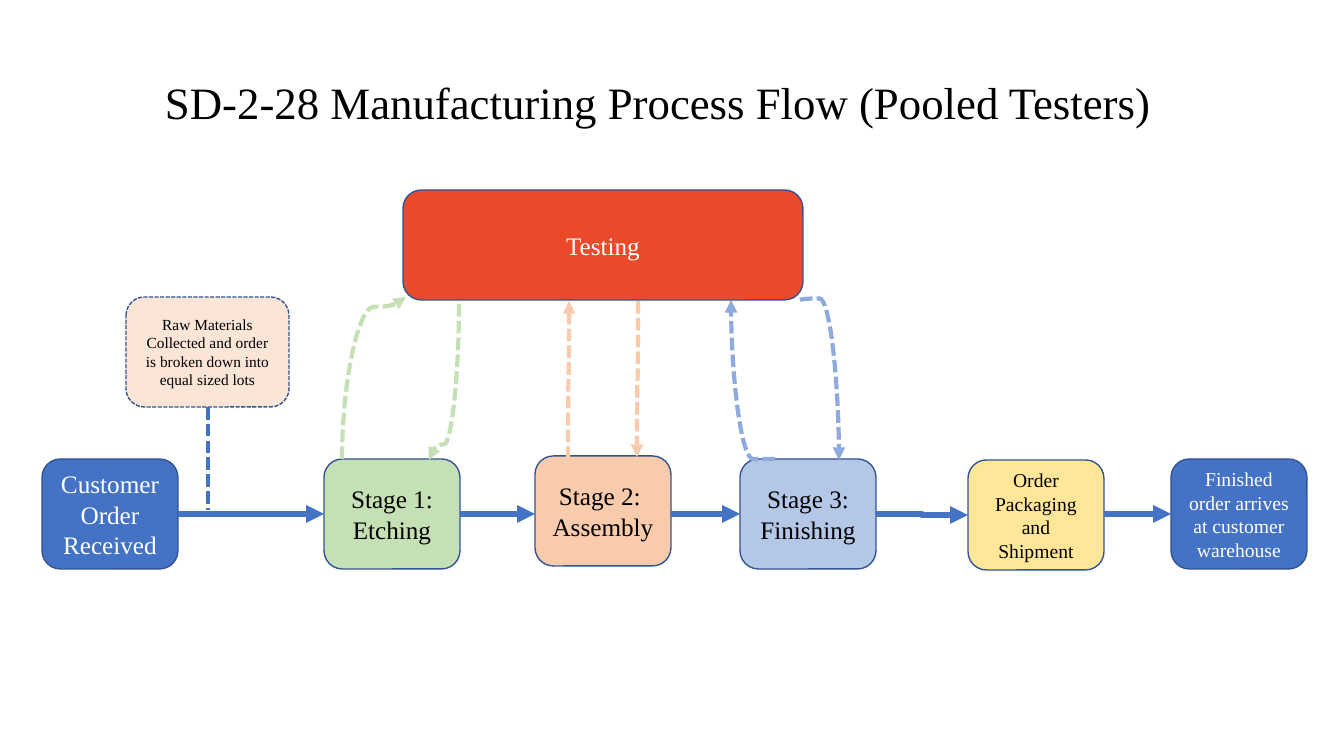
from dataclasses import dataclass

from lxml import etree
from pptx import Presentation
from pptx.dml.color import RGBColor
from pptx.enum.dml import MSO_LINE
from pptx.enum.shapes import MSO_CONNECTOR, MSO_SHAPE
from pptx.enum.text import MSO_ANCHOR, PP_ALIGN
from pptx.oxml.ns import qn
from pptx.util import Emu, Pt

ROUNDED = MSO_SHAPE.ROUNDED_RECTANGLE
ELBOW, CURVE = MSO_CONNECTOR.ELBOW, MSO_CONNECTOR.CURVE
DASH = MSO_LINE.SQUARE_DOT
MIDDLE = MSO_ANCHOR.MIDDLE
LEFT, CENTER = PP_ALIGN.LEFT, PP_ALIGN.CENTER
EMU_PER_PIXEL = 914400 / 100.8


@dataclass(frozen=True)
class Theme:
    """Colours, font and sizes in points."""
    font: str = "Times New Roman"
    black: str = "000000"
    white: str = "FFFFFF"
    blue: str = "4472C4"
    outline: str = "325491"
    cream: str = "FBE5D6"
    green: str = "C5E0B4"
    peach: str = "F8CBAD"
    pale_blue: str = "B4C7E7"
    mid_blue: str = "8FAADC"
    yellow: str = "FFE699"
    red: str = "EA4A2A"
    title: int = 32
    large: int = 18
    medium: int = 14
    small: int = 11
    border: float = 1
    loop: float = 3
    flow: float = 4.25


THEME = Theme()
STEP_WIDTH, BOX_HEIGHT = 136, 110
FLOW_Y = 514

# left, top, text, fill, text colour, text size
STEPS = [
    (42, 459, "Customer Order Received", THEME.blue, THEME.white, THEME.large),
    (324, 459, "Stage 1: Etching", THEME.green, THEME.black, THEME.large),
    (535, 456, "Stage 2: \nAssembly", THEME.peach, THEME.black, THEME.large),
    (740, 459, "Stage 3: Finishing", THEME.pale_blue, THEME.black, THEME.large),
    (968, 460, "Order Packaging and Shipment", THEME.yellow, THEME.black, THEME.medium),
    (1171, 459, "Finished order arrives at customer warehouse",
     THEME.blue, THEME.white, THEME.medium),
]

# start, end, colour, bend position
TEST_LOOPS = [
    ((459, 304), (429, 460), THEME.green, 0.9),
    ((638, 301), (637, 457), THEME.peach, 0.5),
    ((800, 300), (839, 460), THEME.mid_blue, -0.01),
    ((342, 459), (406, 297), THEME.green, 0.94),
    ((568, 459), (569, 301), THEME.peach, 0.5),
    ((775, 459), (731, 300), THEME.mid_blue, 0),
]


def px(*lengths):
    """Turn pixels into a list of EMU lengths."""
    return [Emu(round(length * EMU_PER_PIXEL)) for length in lengths]


def rgb(color):
    """Turn a hex string into a colour."""
    return RGBColor.from_string(color)


def write(box, text, *, size, color, align=CENTER, spacing=1.0):
    """Write text into a box, one paragraph per line."""
    frame = box.text_frame
    frame.word_wrap = True
    frame.vertical_anchor = MIDDLE
    for index, line in enumerate(text.split("\n")):
        para = frame.add_paragraph() if index else frame.paragraphs[0]
        para.alignment = align
        para.line_spacing = spacing
        span = para.add_run()
        span.text = line
        span.font.name = THEME.font
        span.font.size = Pt(size)
        span.font.color.rgb = rgb(color)


def add_title(page, text):
    """Add the slide title."""
    box = page.shapes.add_textbox(*px(155, 32, 1159, 146))
    write(box, text, size=THEME.title, color=THEME.black, align=LEFT, spacing=0.9)


def add_box(page, left, top, width, text, fill, color, size, dashed=False):
    """Add a rounded process box with centred text."""
    box = page.shapes.add_shape(ROUNDED, *px(left, top, width, BOX_HEIGHT))
    box.shadow.inherit = False
    box.fill.solid()
    box.fill.fore_color.rgb = rgb(fill)
    style_line(box.line, THEME.outline, THEME.border, dashed)
    write(box, text, size=size, color=color)


def style_line(line, color, width, dashed):
    """Set colour, width and dash of a line."""
    line.color.rgb = rgb(color)
    line.width = Pt(width)
    if dashed:
        line.dash_style = DASH


def finish_connector(link, color, width, dashed, arrow):
    """Style a connector, remove its shadow and add its arrowhead."""
    style_line(link.line, color, width, dashed)
    properties = link._element.spPr
    if arrow:
        outline = properties.find(qn("a:ln"))
        etree.SubElement(outline, qn("a:tailEnd"), type="triangle")
    etree.SubElement(properties, qn("a:effectLst"))


def add_flow_arrow(page, start, end):
    """Add a solid arrow from one step to the next."""
    link = page.shapes.add_connector(ELBOW, *px(*start, *end))
    finish_connector(link, THEME.blue, THEME.flow, dashed=False, arrow=True)


def add_vertical_link(page, kind, start, end, color, bend=0.5, arrow=True):
    """Add a dashed connector that leaves and arrives vertically."""
    (x1, y1), (x2, y2) = start, end
    length, breadth = abs(y2 - y1), abs(x2 - x1)
    left, top = (x1 + x2 - length) / 2, (y1 + y2 - breadth) / 2
    link = page.shapes.add_connector(
        kind, *px(left, top, left + length, top + breadth))

    # The frame lies on its side, so a quarter turn and flips set the direction.
    upward = y2 < y1
    quarter_right = (x2 - x1) * (y2 - y1) < 0
    frame = link._element.spPr.find(qn("a:xfrm"))
    frame.set("rot", str((90 if quarter_right else 270) * 60000))
    frame.set("flipH", str(int(upward == quarter_right)))
    frame.set("flipV", str(int(upward)))

    geometry = link._element.spPr.find(qn("a:prstGeom"))
    adjustments = geometry.find(qn("a:avLst"))
    etree.SubElement(adjustments, qn("a:gd"), name="adj1",
                     fmla=f"val {round(bend * 100000)}")
    finish_connector(link, color, THEME.loop, dashed=True, arrow=arrow)


def main():
    """Build the process flow slide."""
    deck = Presentation()
    deck.slide_width, deck.slide_height = px(1344, 756)
    page = deck.slides.add_slide(deck.slide_layouts[6])

    add_title(page, "SD-2-28 Manufacturing Process Flow (Pooled Testers)")
    add_box(page, 126, 297, 163,
            "Raw Materials Collected and order is broken down into equal sized lots",
            THEME.cream, THEME.black, THEME.small, dashed=True)
    for left, top, *content in STEPS:
        add_box(page, left, top, STEP_WIDTH, *content)

    for step, following in zip(STEPS, STEPS[1:]):
        end_y = max(FLOW_Y, following[1] + BOX_HEIGHT // 2)
        add_flow_arrow(page, (step[0] + STEP_WIDTH, FLOW_Y), (following[0], end_y))
    add_vertical_link(page, ELBOW, (208, 407), (208, 510), THEME.blue, arrow=False)
    for start, end, color, bend in TEST_LOOPS:
        add_vertical_link(page, CURVE, start, end, color, bend)

    add_box(page, 403, 190, 400, "Testing", THEME.red, THEME.white, THEME.large)
    deck.save("out.pptx")


main()
